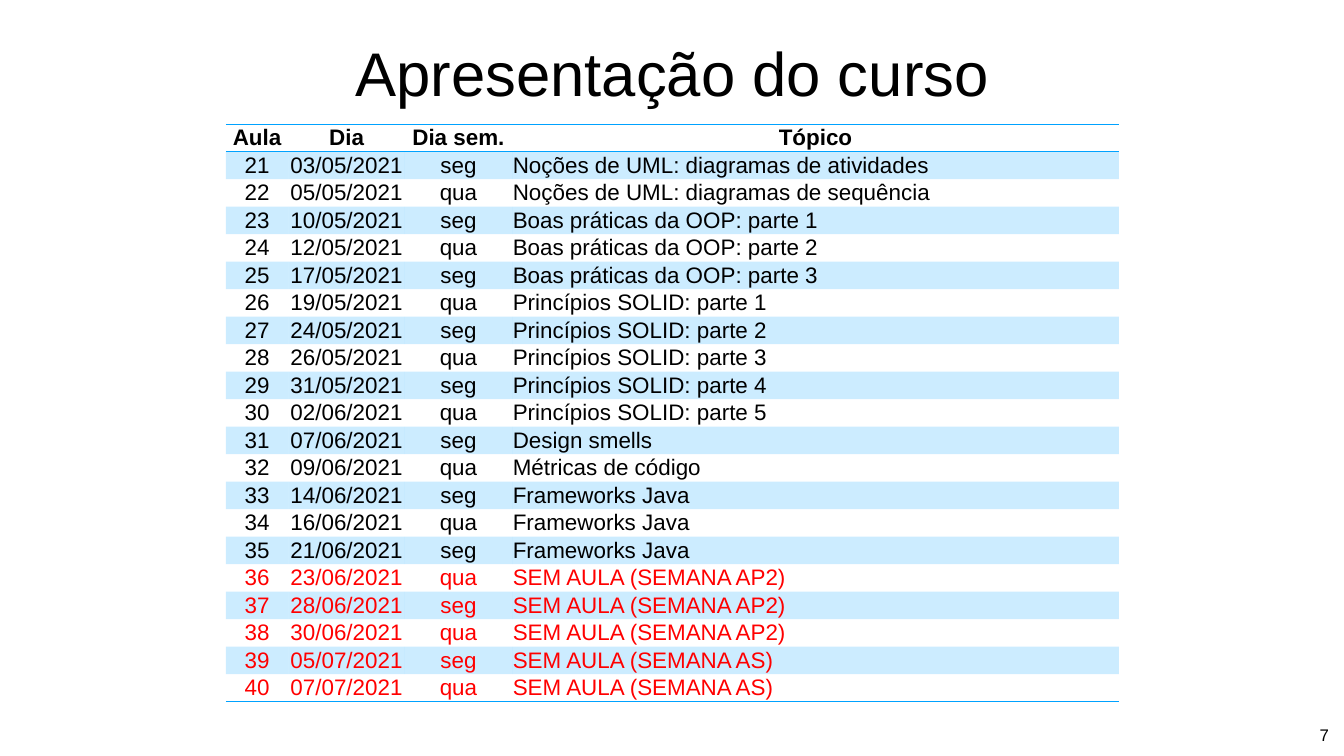
from dataclasses import dataclass

from lxml import etree
from pptx import Presentation
from pptx.dml.color import RGBColor
from pptx.enum.text import MSO_ANCHOR, PP_ALIGN
from pptx.oxml.ns import qn
from pptx.util import Cm, Pt

LEFT, CENTER = PP_ALIGN.LEFT, PP_ALIGN.CENTER
TOP, MIDDLE = MSO_ANCHOR.TOP, MSO_ANCHOR.MIDDLE
PLAIN_STYLE = "{2D5ABB26-0587-4C30-8999-92F81FD0307C}"


@dataclass(frozen=True)
class Theme:
    font: str = "Arial"
    ink: str = "000000"
    alert: str = "FF0000"
    accent: str = "00A2FF"
    tint: int = 20
    title: int = 88
    body: int = 32
    page: int = 24


THEME = Theme()
HEADS = ["Aula", "Dia", "Dia sem.", "Tópico"]
WIDTHS = [3.15, 5.87, 5.41, 30.58]
ROW = 1.29
FIRST = 21
DAYS = ["seg", "qua"]
NO_CLASS = "SEM AULA"
CLASSES = [
    ("03/05", "Noções de UML: diagramas de atividades"),
    ("05/05", "Noções de UML: diagramas de sequência"),
    ("10/05", "Boas práticas da OOP: parte 1"),
    ("12/05", "Boas práticas da OOP: parte 2"),
    ("17/05", "Boas práticas da OOP: parte 3"),
    ("19/05", "Princípios SOLID: parte 1"),
    ("24/05", "Princípios SOLID: parte 2"),
    ("26/05", "Princípios SOLID: parte 3"),
    ("31/05", "Princípios SOLID: parte 4"),
    ("02/06", "Princípios SOLID: parte 5"),
    ("07/06", "Design smells"),
    ("09/06", "Métricas de código"),
    ("14/06", "Frameworks Java"),
    ("16/06", "Frameworks Java"),
    ("21/06", "Frameworks Java"),
    ("23/06", "SEM AULA (SEMANA AP2)"),
    ("28/06", "SEM AULA (SEMANA AP2)"),
    ("30/06", "SEM AULA (SEMANA AP2)"),
    ("05/07", "SEM AULA (SEMANA AS)"),
    ("07/07", "SEM AULA (SEMANA AS)"),
]


def write(frame, words, size=THEME.body, color=THEME.ink, bold=False, align=CENTER):
    para = frame.paragraphs[0]
    para.alignment = align
    run = para.add_run()
    run.text = words
    font = run.font
    font.name, font.size, font.bold = THEME.font, Pt(size), bold
    font.color.rgb = RGBColor.from_string(color)


def pad(item, side, base):
    """Set the inner margins of a text frame or a cell."""
    item.margin_left = item.margin_right = item.margin_top = Cm(side)
    item.margin_bottom = Cm(base)


def add_text(slide, words, box, size, anchor=TOP, wrap=True):
    frame = slide.shapes.add_textbox(*map(Cm, box)).text_frame
    frame.word_wrap = wrap
    frame.vertical_anchor = anchor
    pad(frame, 0.15, 0.15)
    write(frame, words, size=size)


def rule(cell, *edges):
    """Draw accent lines on the edges, named lnT or lnB in that order."""
    for edge in edges:
        line = etree.SubElement(cell._tc.get_or_add_tcPr(), qn(f"a:{edge}"), w=str(Pt(1)))
        fill = etree.SubElement(line, qn("a:solidFill"))
        etree.SubElement(fill, qn("a:srgbClr"), val=THEME.accent)


def shade(cell):
    cell.fill.solid()
    cell.fill.fore_color.rgb = RGBColor.from_string(THEME.accent)
    color = cell._tc.tcPr.find(f".//{qn('a:solidFill')}/{qn('a:srgbClr')}")
    etree.SubElement(color, qn("a:alpha"), val=str(THEME.tint * 1000))


def fill_row(table, index, words, edges=(), banded=False, topic=LEFT, **style):
    table.rows[index].height = Cm(ROW)
    last = len(words) - 1
    for col, word in enumerate(words):
        cell = table.cell(index, col)
        cell.vertical_anchor = MIDDLE
        pad(cell, 0.03, 0)
        write(cell.text_frame, word, align=topic if col == last else CENTER, **style)
        rule(cell, *edges)
        if banded:
            shade(cell)
        else:
            cell.fill.background()


def add_plan(slide):
    count = len(CLASSES) + 1
    table = slide.shapes.add_table(
        count, len(HEADS), Cm(11.38), Cm(6.25), Cm(sum(WIDTHS)), Cm(ROW * count)
    ).table
    table._tbl.tblPr.find(qn("a:tableStyleId")).text = PLAIN_STYLE
    table.horz_banding = False
    for col, width in zip(table.columns, WIDTHS):
        col.width = Cm(width)

    fill_row(table, 0, HEADS, edges=("lnT", "lnB"), topic=CENTER, bold=True)
    for index, (date, topic) in enumerate(CLASSES):
        words = [str(FIRST + index), f"{date}/2021", DAYS[index % 2], topic]
        fill_row(
            table, index + 1, words,
            edges=("lnB",) if index == len(CLASSES) - 1 else (),
            banded=index % 2 == 0,
            color=THEME.alert if topic.startswith(NO_CLASS) else THEME.ink,
        )


def main():
    deck = Presentation()
    deck.slide_width, deck.slide_height = Cm(67.73), Cm(38.1)
    slide = deck.slides.add_slide(deck.slide_layouts[6])
    add_text(slide, "Apresentação do curso", (4.7, 1, 58.34, 5.25), THEME.title, MIDDLE)
    add_text(slide, "7", (65.91, 36.35, 1.65, 1.32), THEME.page, wrap=False)
    add_plan(slide)
    deck.save("out.pptx")


if __name__ == "__main__":
    main()
